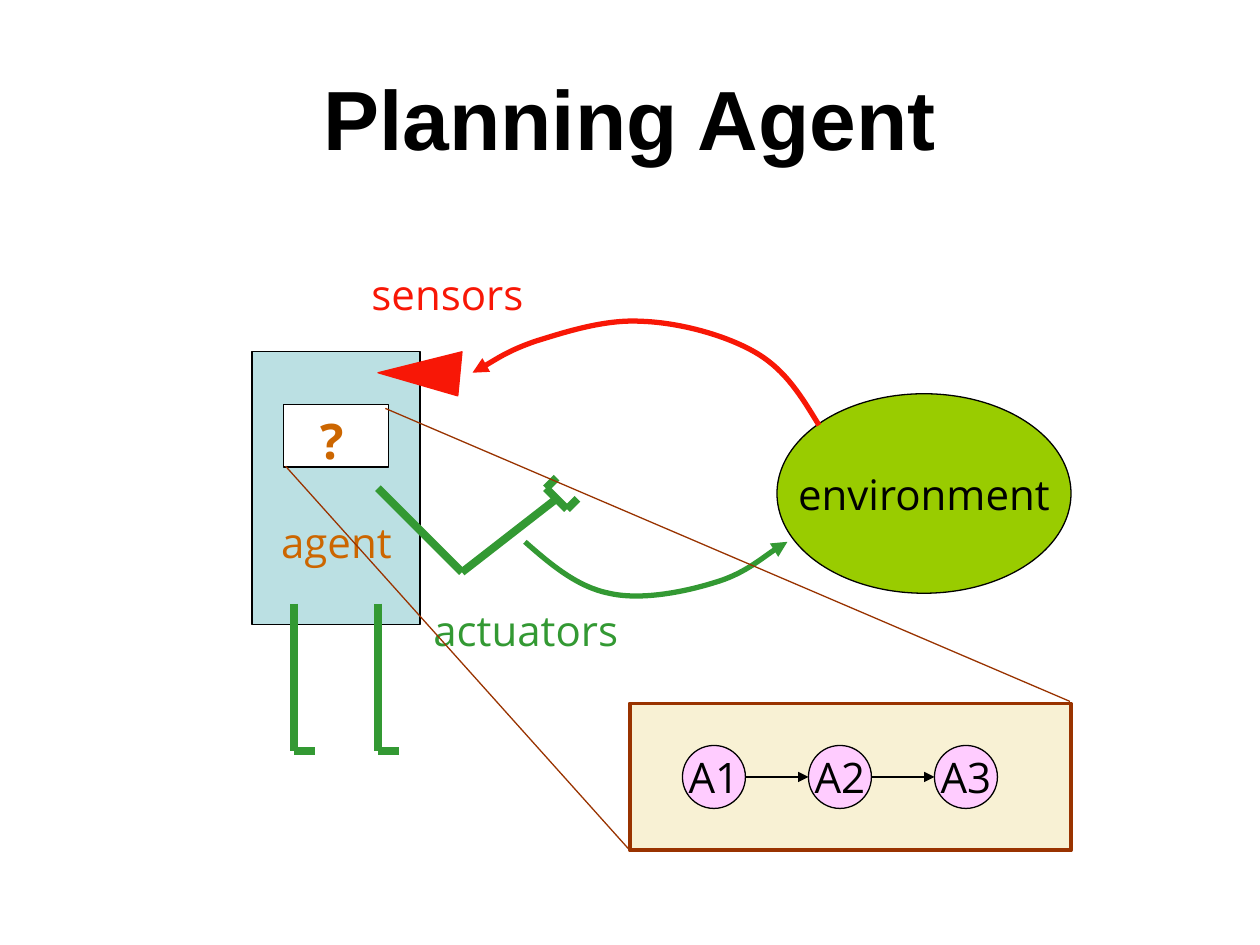
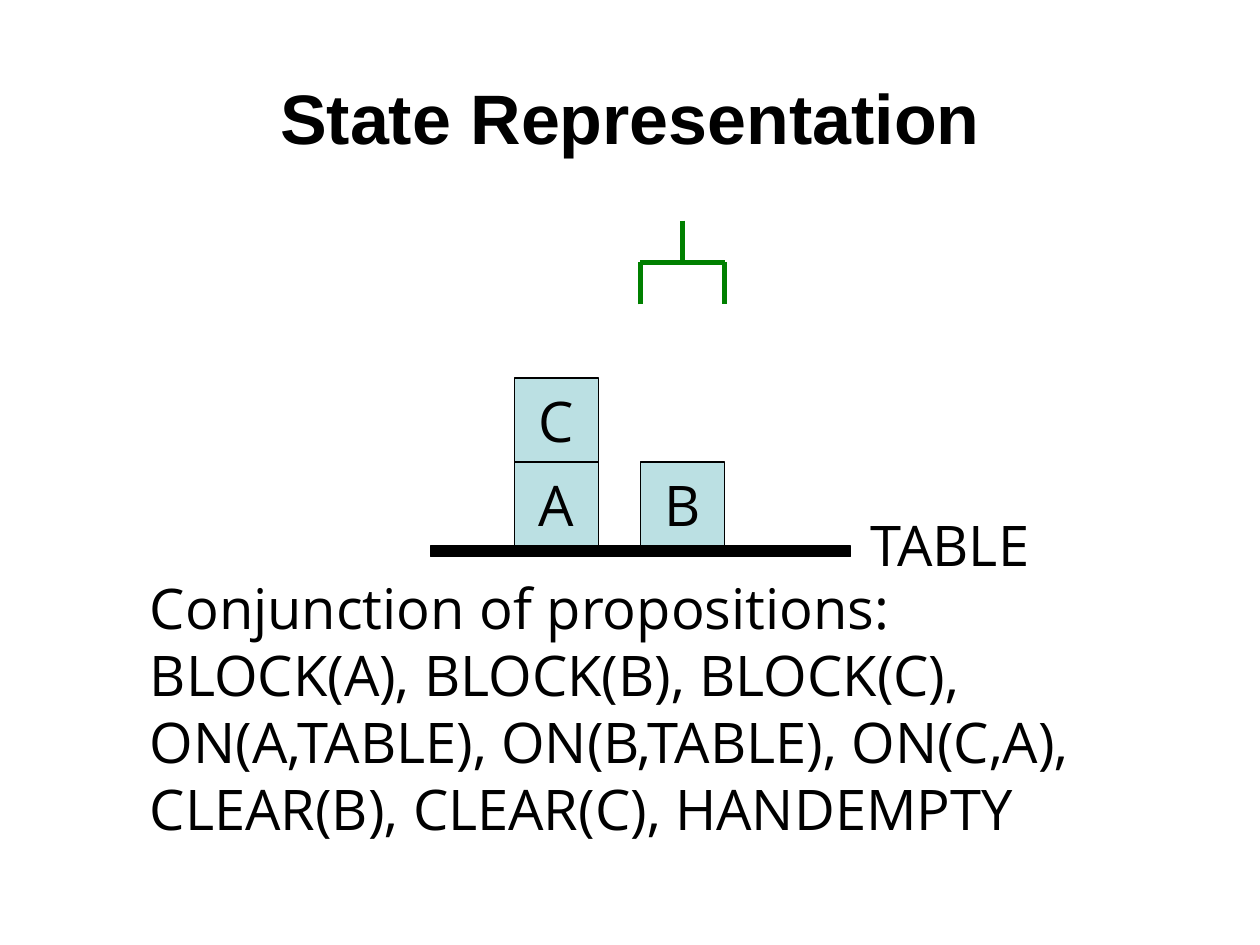
"""Draw a planning agent and a blocks-world state on a 120 by 90 grid."""
import pptx
import pptx.dml.color
import pptx.enum.shapes
import pptx.enum.text
import pptx.oxml
import pptx.oxml.ns
import pptx.util

RGB = pptx.dml.color.RGBColor
KIND = pptx.enum.shapes.MSO_SHAPE
ALIGN = pptx.enum.text.PP_ALIGN
ANCHOR = pptx.enum.text.MSO_ANCHOR
FIT = pptx.enum.text.MSO_AUTO_SIZE
NS = pptx.oxml.ns.nsdecls("a")

BLACK = RGB(0x00, 0x00, 0x00)
WHITE = RGB(0xFF, 0xFF, 0xFF)
RED = RGB(0xF8, 0x17, 0x06)
GREEN = RGB(0x33, 0x99, 0x33)
DARK = RGB(0x00, 0x80, 0x00)
LIME = RGB(0x99, 0xCC, 0x00)
BLUE = RGB(0xBB, 0xE0, 0xE3)
ORANGE = RGB(0xCC, 0x66, 0x00)
BROWN = RGB(0x99, 0x33, 0x00)
CREAM = RGB(0xF8, 0xF1, 0xD4)
PINK = RGB(0xFF, 0xCC, 0xFF)

WIDE = pptx.util.Inches(10)
HIGH = pptx.util.Inches(7.5)
UNIT = WIDE / 120
THIN = 0.74
BODY = "Open Sans"


def grid(*cells):
    return [round(cell * UNIT) for cell in cells]


def write(shape, text, size, color=BLACK, font=BODY, bold=False, align=ALIGN.CENTER):
    frame = shape.text_frame
    frame.text = text
    for para in frame.paragraphs:
        para.alignment = align
        for run in para.runs:
            run.font.size = pptx.util.Pt(size)
            run.font.name = font
            run.font.bold = bold
            run.font.color.rgb = color


def title(slide, text, size):
    box = slide.shapes.add_textbox(*grid(6, 3.6, 108, 15))
    box.text_frame.word_wrap = True
    box.text_frame.vertical_anchor = ANCHOR.MIDDLE
    write(box, text, size, font="Arial", bold=True)


def label(slide, text, place, size, color=BLACK, bold=False):
    box = slide.shapes.add_textbox(*grid(*place))
    box.text_frame.word_wrap = False
    box.text_frame.auto_size = FIT.SHAPE_TO_FIT_TEXT
    write(box, text, size, color, bold=bold, align=ALIGN.LEFT)


def outline(shape, color, width):
    shape.line.color.rgb = color
    shape.line.width = pptx.util.Pt(width)


def solid(slide, kind, place, fill, text="", size=24, edge=BLACK, width=THIN):
    shape = slide.shapes.add_shape(kind, *grid(*place))
    shape.shadow.inherit = False
    shape.fill.solid()
    shape.fill.fore_color.rgb = fill
    outline(shape, edge, width)
    if text:
        shape.text_frame.word_wrap = False
        shape.text_frame.vertical_anchor = ANCHOR.MIDDLE
        write(shape, text, size)


def arrow(shape):
    tip = pptx.oxml.parse_xml(f'<a:tailEnd {NS} type="triangle"/>')
    shape.line._get_or_add_ln().append(tip)


def line(slide, start, end, color, width, head=False):
    link = slide.shapes.add_connector(
        pptx.enum.shapes.MSO_CONNECTOR.STRAIGHT, *grid(*start, *end))
    outline(link, color, width)
    if head:
        arrow(link)
    link._element.spPr.append(pptx.oxml.parse_xml(f"<a:effectLst {NS}/>"))


def chain(slide, points, color, width):
    for start, end in zip(points, points[1:]):
        line(slide, start, end, color, width)


def trace(slide, points, close):
    pen = slide.shapes.build_freeform(*grid(*points[0]))
    pen.add_line_segments([grid(*point) for point in points[1:]], close=close)
    shape = pen.convert_to_shape()
    shape.shadow.inherit = False
    return shape


def curve(slide, points, color):
    """Turn each three points after the first into one Bezier segment."""
    shape = trace(slide, points, False)
    shape.fill.background()
    outline(shape, color, 3)
    arrow(shape)
    legs = shape._element.xpath(".//a:lnTo")
    for first in range(0, len(legs), 3):
        bend = pptx.oxml.parse_xml(f"<a:cubicBezTo {NS}/>")
        legs[first].addprevious(bend)
        for leg in legs[first:first + 3]:
            bend.append(leg[0])
            leg.getparent().remove(leg)


def world(slide):
    solid(slide, KIND.OVAL, (74, 37.5, 28, 19), LIME, "environment")
    curve(slide, [(78, 40.5), (76.4, 37.9), (74.9, 35.3), (72, 33.6),
                  (69.1, 31.9), (64.6, 30.7), (61, 30.6),
                  (57.5, 30.4), (53.6, 31.7), (51, 32.5),
                  (48.4, 33.4), (46, 35), (45, 35.5)], RED)
    curve(slide, [(50, 51.6), (52.5, 53.8), (55, 55.9), (58, 56.5),
                  (61, 57.2), (65.1, 56.4), (68, 55.5),
                  (70.8, 54.7), (73.8, 52.2), (75, 51.6)], GREEN)


def agent(slide):
    solid(slide, KIND.RECTANGLE, (24, 33.5, 16, 26), BLUE)
    label(slide, "agent", (25.6, 48.6, 13.2, 6), 24, ORANGE)
    solid(slide, KIND.RECTANGLE, (27, 38.5, 10, 6), WHITE)
    label(slide, "?", (29.3, 38.5, 4.6, 6.8), 28, ORANGE, True)
    arm = [(36, 46.5), (44, 54.5), (53, 47.5)]
    hand = [(53, 45.5), (52, 46.5), (54, 48.5), (55, 47.5)]
    legs = [[(x, 57.5), (x, 71.5), (x + 2, 71.5)] for x in (28, 36)]
    for limb in (arm, hand, *legs):
        chain(slide, limb, GREEN, 4.5)
    eye = trace(slide, [(36, 35.5), (44, 33.5), (43.6, 37.7)], True)
    eye.fill.solid()
    eye.fill.fore_color.rgb = RED
    outline(eye, RED, THIN)
    label(slide, "sensors", (34.2, 25, 17, 6), 24, RED)
    label(slide, "actuators", (40.1, 57, 20.2, 6), 24, GREEN)


def plan(slide):
    solid(slide, KIND.RECTANGLE, (60, 67, 42, 14), CREAM, edge=BROWN, width=2.25)
    line(slide, (27.2, 44.4), (60, 81), BROWN, THIN)
    line(slide, (36.7, 38.9), (101.9, 66.8), BROWN, THIN)
    size, step = 6, 12
    for num in range(3):
        left = 65 + num * step
        solid(slide, KIND.OVAL, (left, 71, size, size), PINK, f"A{num + 1}")
        if num:
            line(slide, (left - step + size, 74), (left, 74), BLACK, THIN, True)


def state(slide):
    label(slide, "Conjunction of propositions:\n"
          "BLOCK(A), BLOCK(B), BLOCK(C),\n"
          "ON(A,TABLE), ON(B,TABLE), ON(C,A), \v"
          "CLEAR(B), CLEAR(C), HANDEMPTY", (13.1, 54, 94.3, 26.9), 32)
    solid(slide, KIND.RECTANGLE, (41, 52, 40, 1), BLACK)
    side = 8
    for name, left, level in (("A", 49, 1), ("B", 61, 1), ("C", 49, 2)):
        place = (left, 52 - level * side, side, side)
        solid(slide, KIND.RECTANGLE, place, BLUE, name, 32)
    chain(slide, [(61, 29), (61, 25), (69, 25), (69, 29)], DARK, 3)
    line(slide, (65, 21), (65, 25), DARK, 3)
    label(slide, "TABLE", (81.7, 48, 18, 7.7), 32)


def main():
    deck = pptx.Presentation()
    deck.slide_width, deck.slide_height = WIDE, HIGH
    pages = (("Planning Agent", 48, (world, agent, plan)),
             ("State Representation", 40, (state,)))
    for text, size, parts in pages:
        slide = deck.slides.add_slide(deck.slide_layouts[6])
        title(slide, text, size)
        for part in parts:
            part(slide)
    deck.save("out.pptx")


main()
